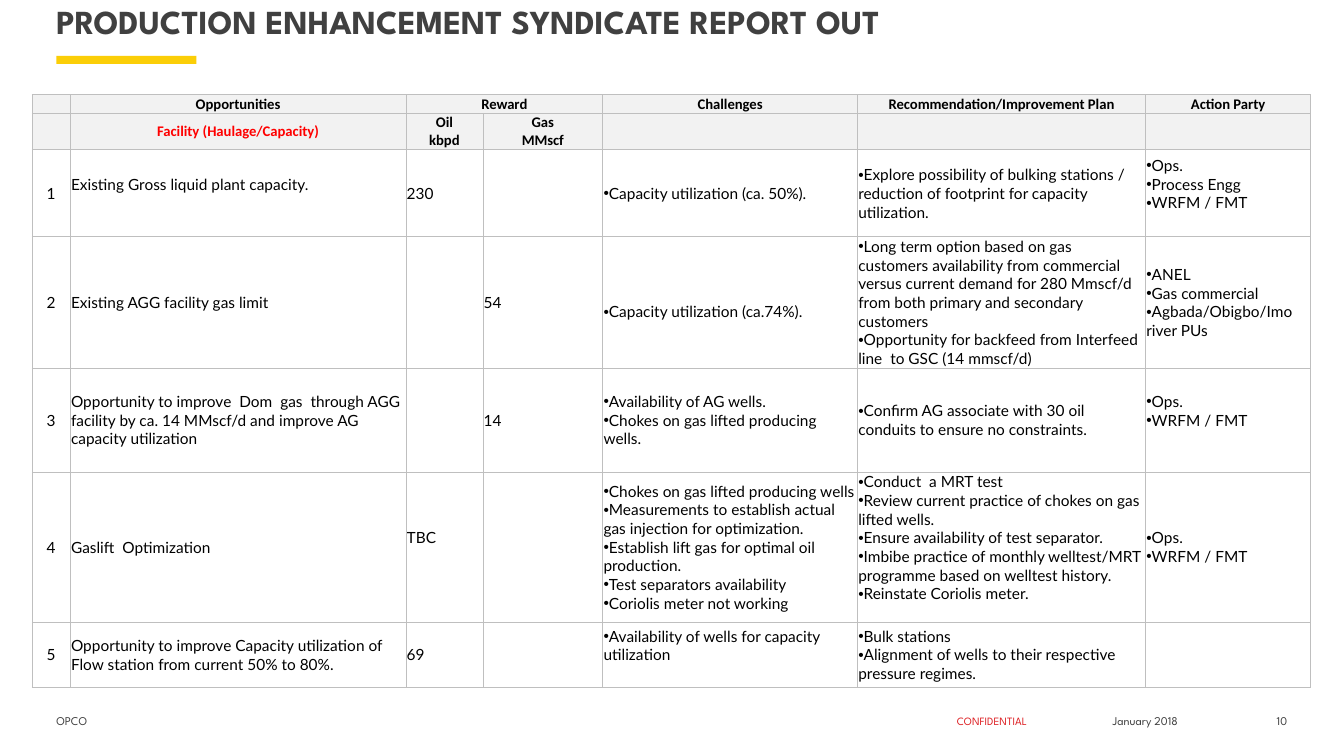
from dataclasses import dataclass

from lxml import etree
from pptx import Presentation
from pptx import util as u
from pptx.dml.color import RGBColor
from pptx.enum import shapes, text
from pptx.oxml import ns

LEFT, MID, RIGHT = text.PP_ALIGN.LEFT, text.PP_ALIGN.CENTER, text.PP_ALIGN.RIGHT


@dataclass(frozen=True)
class Theme:
    ink: str = "404040"
    black: str = "000000"
    red: str = "FF0000"
    alert: str = "DD1D21"
    gold: str = "FBCE07"
    band: str = "F2F2F2"
    rule: str = "BFBFBF"
    brand: str = "League Spartan"
    head: str = "Calibri"
    body: str = "Lato"
    dot: str = "Arial"
    title: float = 24
    foot: float = 8.5
    small: float = 8
    top: float = 10.5
    cell: float = 11


class Deck:
    def __init__(self, theme):
        self.theme = theme
        self.prs = Presentation()
        self.prs.slide_width, self.prs.slide_height = u.Cm(33.87), u.Cm(19.05)
        self.slide = self.prs.slides.add_slide(self.prs.slide_layouts[5])

    def apply(self, item, form):
        for key, val in form.items():
            setattr(item, key, val)

    def face(self, run, name, size, color, bold=False):
        self.apply(run.font, dict(name=name, size=u.Pt(size), bold=bold))
        run.font.color.rgb = RGBColor.from_string(color)

    def frame(self, box, words, font, align):
        self.apply(box.text_frame, dict(
            margin_left=0, margin_top=0, margin_right=0, margin_bottom=u.Cm(0.13),
            word_wrap=True, vertical_anchor=text.MSO_ANCHOR.TOP,
            auto_size=text.MSO_AUTO_SIZE.NONE))
        para = box.text_frame.paragraphs[0]
        para.alignment = align
        run = para.add_run()
        run.text = words
        self.face(run, *font)

    def title(self, words, area):
        box = self.slide.shapes.title
        self.apply(box, dict(zip(("left", "top", "width", "height"), map(u.Cm, area))))
        self.frame(box, words, (self.theme.brand, self.theme.title, self.theme.ink, True), LEFT)

    def bar(self, area):
        box = self.slide.shapes.add_shape(shapes.MSO_SHAPE.RECTANGLE, *map(u.Cm, area))
        box.shadow.inherit = False
        box.fill.solid()
        box.fill.fore_color.rgb = RGBColor.from_string(self.theme.gold)
        box.line.fill.background()

    def label(self, words, area, size, color, align=LEFT):
        box = self.slide.shapes.add_textbox(*map(u.Cm, area))
        self.frame(box, words, (self.theme.brand, size, color), align)

    def border(self, cell):
        props = cell._tc.get_or_add_tcPr()
        for side in ("lnL", "lnR", "lnT", "lnB"):
            line = etree.SubElement(props, ns.qn("a:" + side), w=str(u.Pt(0.5)))
            fill = etree.SubElement(line, ns.qn("a:solidFill"))
            etree.SubElement(fill, ns.qn("a:srgbClr"), val=self.theme.rule)

    def bullet(self, para):
        props = para._p.get_or_add_pPr()
        props.set("marL", "0")
        props.set("indent", str(-u.Cm(0.48)))
        etree.SubElement(props, ns.qn("a:buFont"), typeface=self.theme.dot)
        etree.SubElement(props, ns.qn("a:buChar"), char="•")

    def cell(self, cell, lines, font, align, dot=False, fill=None, pad=(0.02, 0)):
        self.border(cell)
        if fill:
            cell.fill.solid()
            cell.fill.fore_color.rgb = RGBColor.from_string(fill)
        else:
            cell.fill.background()
        self.apply(cell, dict(
            margin_left=u.Cm(0.02), margin_right=u.Cm(0.02), margin_top=u.Cm(pad[0]),
            margin_bottom=u.Cm(pad[1]), vertical_anchor=text.MSO_ANCHOR.MIDDLE))
        frame = cell.text_frame
        if not lines:
            etree.SubElement(frame.paragraphs[0]._p, ns.qn("a:endParaRPr"),
                             sz=str(int(font[1] * 100)))
        for i, words in enumerate(lines):
            para = frame.add_paragraph() if i else frame.paragraphs[0]
            para.alignment = align
            if dot:
                self.bullet(para)
            run = para.add_run()
            run.text = words
            self.face(run, *font)

    def table(self, spot, cols, rows, heads, body, lift, drop):
        t = self.theme
        grid = self.slide.shapes.add_table(
            len(rows), len(cols), *map(u.Cm, (*spot, sum(cols), sum(rows)))).table
        self.apply(grid, dict(first_row=False, horz_banding=False))
        for col, size in zip(grid.columns, cols):
            col.width = u.Cm(size)
        for row, size in zip(grid.rows, rows):
            row.height = u.Cm(size)
        for r, line in enumerate(heads):
            for c, words in enumerate(line):
                color = t.red if (r, c) == (1, 1) else t.black
                self.cell(grid.cell(r, c), words.splitlines(),
                          (t.head, t.top, color, True), MID, fill=t.band)
        grid.cell(0, 2).merge(grid.cell(0, 3))
        gap = 0.47
        for r, line in enumerate(body, 1):
            for c, words in enumerate((str(r), *line)):
                pad = (0.02 + gap * ((r, c) in drop), gap * ((r, c) in lift))
                self.cell(grid.cell(r + len(heads) - 1, c), words.splitlines(),
                          (t.body, t.cell, t.black), LEFT if c else MID, c > 3, pad=pad)


HEADS = [
    ("", "Opportunities", "Reward", "", "Challenges",
     "Recommendation/Improvement Plan", "Action Party"),
    ("", "Facility (Haulage/Capacity)", "Oil\nkbpd", "Gas\nMMscf", "", "", ""),
]
BODY = [
    ("Existing Gross liquid plant capacity.", "230", "",
     "Capacity utilization (ca. 50%).",
     "Explore possibility of bulking stations / reduction of footprint for capacity utilization.",
     "Ops.\nProcess Engg\nWRFM / FMT"),
    ("Existing AGG facility gas limit", "", "54",
     "Capacity utilization (ca.74%).",
     "Long term option based on gas customers availability from commercial versus current "
     "demand for 280 Mmscf/d from both primary and secondary customers\n"
     "Opportunity for backfeed from Interfeed line  to GSC (14 mmscf/d)",
     "ANEL\nGas commercial\nAgbada/Obigbo/Imo river PUs"),
    ("Opportunity to improve  Dom  gas  through AGG facility by ca. 14 MMscf/d "
     "and improve AG capacity utilization", "", "14",
     "Availability of AG wells.\nChokes on gas lifted producing wells.",
     "Confirm AG associate with 30 oil conduits to ensure no constraints.",
     "Ops.\nWRFM / FMT"),
    ("Gaslift  Optimization", "TBC", "",
     "Chokes on gas lifted producing wells\n"
     "Measurements to establish actual gas injection for optimization.\n"
     "Establish lift gas for optimal oil production.\n"
     "Test separators availability\nCoriolis meter not working",
     "Conduct  a MRT test\nReview current practice of chokes on gas lifted wells.\n"
     "Ensure availability of test separator.\n"
     "Imbibe practice of monthly welltest/MRT programme based on welltest history.\n"
     "Reinstate Coriolis meter.",
     "Ops.\nWRFM / FMT"),
    ("Opportunity to improve Capacity utilization of Flow station from current 50% to 80%.",
     "69", "", "Availability of wells for capacity utilization",
     "Bulk stations\nAlignment of wells to their respective pressure regimes.", ""),
]


def main():
    t = Theme()
    deck = Deck(t)
    deck.bar((1.42, 1.41, 3.53, 0.2))
    deck.title("PRODUCTION ENHANCEMENT SYNDICATE REPORT OUT", (1.42, 0.03, 31.04, 2.08))
    deck.table((0.81, 2.38), (0.96, 8.46, 1.94, 3.02, 6.42, 7.26, 4.16),
               (0.46, 0.91, 2.19, 3.27, 2.62, 3.78, 1.65), HEADS, BODY,
               lift={(1, 1), (1, 6), (3, 6), (4, 2), (4, 5), (5, 4)}, drop={(2, 4)})
    deck.label("OPCO", (1.42, 17.98, 9.32, 0.66), t.foot, t.ink)
    deck.label("CONFIDENTIAL", (23.5, 18.01, 3, 0.48), t.small, t.alert, MID)
    deck.label("January 2018", (26.87, 17.98, 3.99, 0.66), t.foot, t.ink, MID)
    deck.label("10", (31.45, 17.98, 0.99, 0.66), t.foot, t.ink, RIGHT)
    deck.prs.save("out.pptx")


if __name__ == "__main__":
    main()
